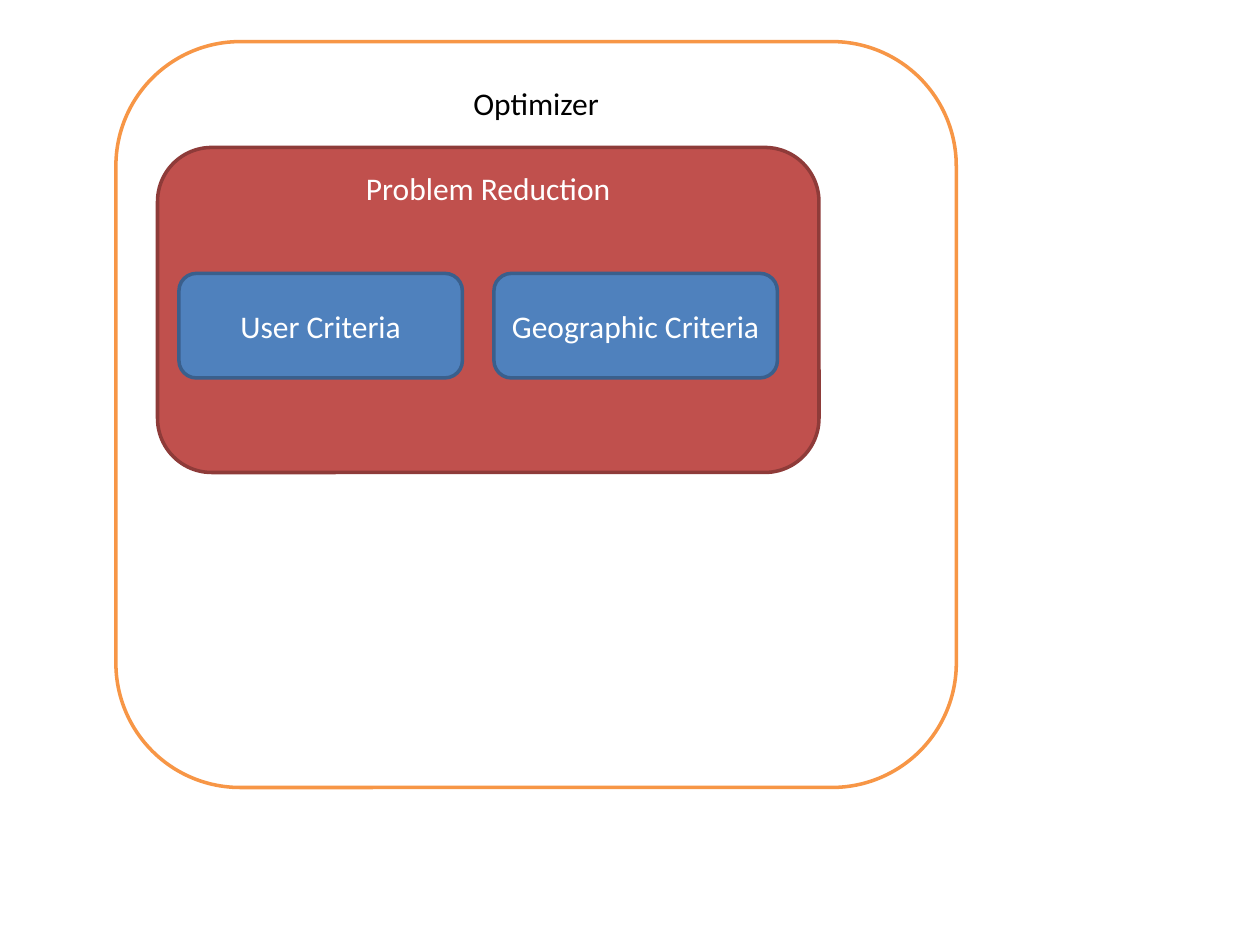
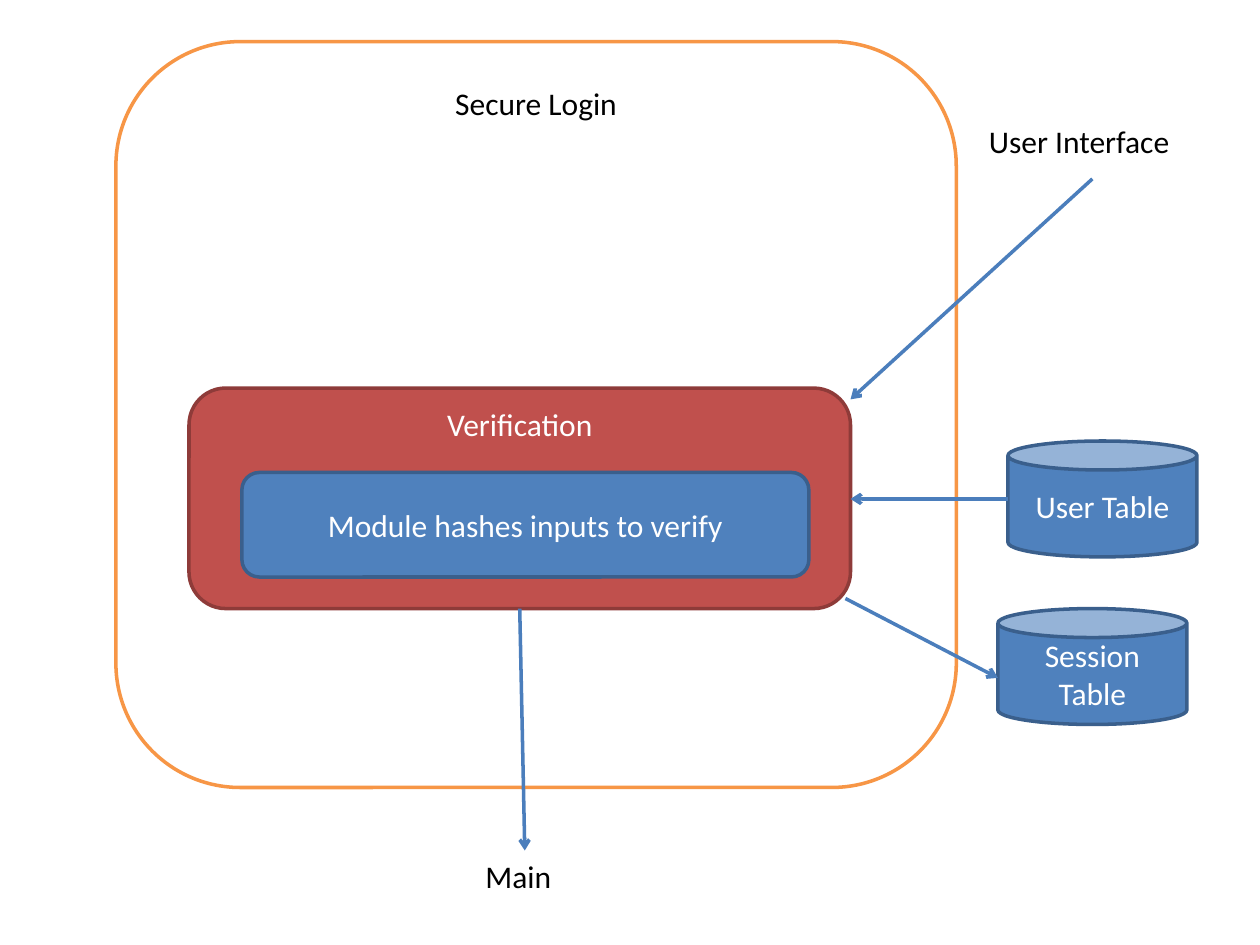
import pptx
import pptx.util
import pptx.dml.color
import pptx.enum.shapes
import pptx.enum.text
import pptx.oxml.ns
import lxml.etree

Inches = pptx.util.Inches
Kind = pptx.enum.shapes.MSO_SHAPE
Anchor = pptx.enum.text.MSO_ANCHOR
Align = pptx.enum.text.PP_ALIGN

FONT = "Calibri"
BLACK, WHITE = "000000", "FFFFFF"
FRAME = (WHITE, "F79646", BLACK)
PANEL = (("C0504D"), "8E3B39", WHITE)
BLOCK = ("4F81BD", "3A5F8C", WHITE)
ARROW = "4B7EBC"
FRAME_BOX = (0.92, 0.33, 6.67, 5.92)


def color(code):
    """Turn a hex string into a colour."""
    return pptx.dml.color.RGBColor.from_string(code)


def write(frame, text, ink, align):
    """Put one styled run into a text frame."""
    line = frame.paragraphs[0]
    line.alignment = align
    run = line.add_run()
    run.text = text
    run.font.name = FONT
    run.font.size = pptx.util.Pt(18)
    run.font.color.rgb = color(ink)


def node(slide, box, text, style, kind=Kind.ROUNDED_RECTANGLE, anchor=Anchor.MIDDLE):
    """Draw a filled shape with centred text."""
    fill, edge, ink = style
    shape = slide.shapes.add_shape(kind, *map(Inches, box))
    shape.shadow.inherit = False
    shape.fill.solid()
    shape.fill.fore_color.rgb = color(fill)
    shape.line.color.rgb = color(edge)
    shape.line.width = pptx.util.Pt(2)
    shape.text_frame.word_wrap = True
    shape.text_frame.vertical_anchor = anchor
    write(shape.text_frame, text, ink, Align.CENTER)


def label(slide, box, text):
    """Place a plain caption that does not wrap."""
    frame = slide.shapes.add_textbox(*map(Inches, box)).text_frame
    frame.word_wrap = False
    frame.auto_size = pptx.enum.text.MSO_AUTO_SIZE.SHAPE_TO_FIT_TEXT
    write(frame, text, BLACK, Align.LEFT)


def arrow(slide, start, end):
    """Draw a straight line with an open head at its end."""
    link = slide.shapes.add_connector(
        pptx.enum.shapes.MSO_CONNECTOR.STRAIGHT, *map(Inches, start + end))
    link.line.color.rgb = color(ARROW)
    link.line.width = pptx.util.Pt(2)
    qn = pptx.oxml.ns.qn
    lxml.etree.SubElement(link.line._get_or_add_ln(), qn("a:tailEnd"), type="arrow")
    lxml.etree.SubElement(link._element.spPr, qn("a:effectLst"))


def panel(slide, box, title, blocks, offset, size, step=0):
    """Draw a titled panel with a row of blocks inside it."""
    left, top = box[:2]
    node(slide, box, title, PANEL, anchor=Anchor.TOP)
    for i, text in enumerate(blocks):
        spot = (left + offset[0] + i * step, top + offset[1])
        node(slide, spot + size, text, BLOCK)


def reducer(slide, box):
    """Fill the optimizer slide."""
    left, top = box[:2]
    node(slide, box, "Optimizer", FRAME, anchor=Anchor.TOP)
    panel(slide, (left + 0.33, top + 0.84, 5.25, 2.58), "Problem Reduction",
          ["User Criteria", "Geographic Criteria"], (0.17, 1), (2.25, 0.83), 2.5)


def login(slide, box):
    """Fill the login slide with its panel, tables and links."""
    left, top, width, height = box
    node(slide, box, "Secure Login", FRAME, anchor=Anchor.TOP)
    inner = (left + 0.58, top + 2.75, 5.25, 1.75)
    panel(slide, inner, "Verification", ["Module hashes inputs to verify"],
          (0.42, 0.67), (4.5, 0.83))
    x, y, wide, high = inner
    right, base, mid = x + wide, y + high, x + wide / 2
    edge = left + width
    user = (edge + 0.41, y + 0.42, 1.5, 0.92)
    session = (edge + 0.33, base, 1.5, 0.92)
    for spot, text in ((user, "User Table"), (session, "Session Table")):
        node(slide, spot, text, BLOCK, Kind.CAN)
    label(slide, (edge + 0.16, top + 0.59, 1.65, 0.4), "User Interface")
    foot = top + height + 0.5
    label(slide, (mid - 0.37, foot, 0.73, 0.4), "Main")
    level = user[1] + user[3] / 2
    arrow(slide, (edge + 1.08, top + 1.09), (right, y + 0.09))
    arrow(slide, (user[0], level), (right, level))
    arrow(slide, (right - 0.04, base - 0.08),
          (session[0], session[1] + 0.55))
    arrow(slide, (mid, base), (mid + 0.04, foot))


def main():
    """Build and save the deck."""
    deck = pptx.Presentation()
    deck.slide_width, deck.slide_height = Inches(10), Inches(7.5)
    for fill in (reducer, login):
        fill(deck.slides.add_slide(deck.slide_layouts[6]), FRAME_BOX)
    deck.save("out.pptx")


main()
